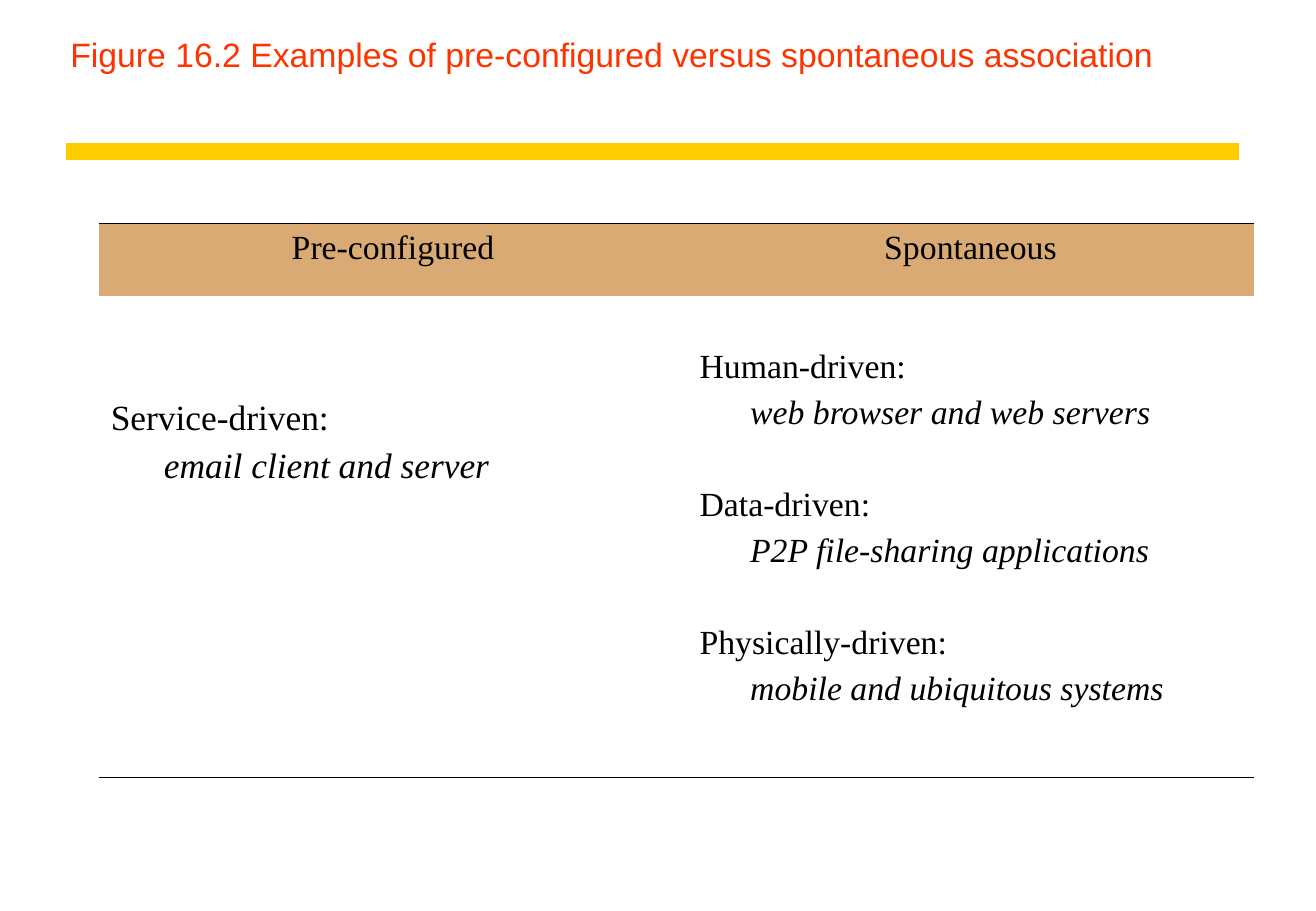
"""Build the slide comparing pre-configured and spontaneous association."""
from lxml import etree
from pptx import Presentation
from pptx.dml.color import RGBColor
from pptx.enum import shapes, text
from pptx.oxml import ns
from pptx.util import Pt

TITLE = "Figure 16.2 Examples of pre-configured versus spontaneous association"
HEADS = ["Pre-configured", "Spontaneous"]
BODY = [
    {"size": 21, "top": 60.5, "gap": 5.4, "pairs": [
        ("Service-driven:", "email client and server")]},
    {"size": 20, "top": 30.8, "gap": 5.1, "pairs": [
        ("Human-driven:", "web browser and web servers"),
        ("Data-driven:", "P2P file-sharing applications"),
        ("Physically-driven:", "mobile and ubiquitous systems")]},
]
COLS = [349.2, 335.8]
ROWS = [43.2, 285.1]
LINE_PITCH = 1.107
INDENT = 1.5

RED = RGBColor(0xFF, 0x33, 0x00)
GOLD = RGBColor(0xFF, 0xCC, 0x00)
TAN = RGBColor(0xD9, 0xAA, 0x73)
BLACK = RGBColor(0, 0, 0)


def write(para, words, size=20, font="Times New Roman", color=BLACK,
          italic=False, align=text.PP_ALIGN.LEFT, before=0, indent=0):
    para.alignment = align
    para.space_before = Pt(before)
    if indent:
        para._p.get_or_add_pPr().set("marL", str(Pt(indent)))
    run = para.add_run()
    run.text = words
    run.font.size = Pt(size)
    run.font.name = font
    run.font.italic = italic
    run.font.color.rgb = color


def border(cell, side):
    edge = etree.Element(ns.qn(f"a:{side}"), w=str(Pt(0.45)))
    fill = etree.SubElement(edge, ns.qn("a:solidFill"))
    etree.SubElement(fill, ns.qn("a:srgbClr"), val=str(BLACK))
    cell._tc.get_or_add_tcPr().insert(0, edge)


def add_title(slide):
    box = slide.shapes.add_textbox(Pt(34.6), Pt(16.2), Pt(700), Pt(54))
    box.text_frame.word_wrap = True
    write(box.text_frame.paragraphs[0], TITLE, font="Arial", color=RED)


def add_rule(slide):
    rule = slide.shapes.add_connector(
        shapes.MSO_CONNECTOR.STRAIGHT, Pt(39), Pt(90), Pt(734.6), Pt(90))
    rule.line.color.rgb = GOLD
    rule.line.width = Pt(10)
    etree.SubElement(rule._element.spPr, ns.qn("a:effectLst"))


def fill_body(cell, size, top, gap, pairs):
    cell.margin_top = Pt(top)
    blank = size * LINE_PITCH + 2 * gap
    frame = cell.text_frame
    for i, (kind, case) in enumerate(pairs):
        para = frame.add_paragraph() if i else frame.paragraphs[0]
        write(para, kind, size=size, before=blank if i else 0)
        write(frame.add_paragraph(), case, size=size, italic=True,
              before=gap, indent=size * INDENT)


def add_grid(slide):
    frame = slide.shapes.add_table(
        2, 2, Pt(58.5), Pt(132.5), Pt(sum(COLS)), Pt(sum(ROWS)))
    table = frame.table
    table.first_row = table.horz_banding = False
    style = table._tbl.tblPr.find(ns.qn("a:tableStyleId"))
    style.text = "{2D5ABB26-0587-4C30-8999-92F81FD0307C}"
    for row, high in zip(table.rows, ROWS):
        row.height = Pt(high)
    for i, wide in enumerate(COLS):
        table.columns[i].width = Pt(wide)
        head, body = table.cell(0, i), table.cell(1, i)
        head.fill.solid()
        head.fill.fore_color.rgb = TAN
        body.fill.background()
        border(head, "lnT")
        border(body, "lnB")
        write(head.text_frame.paragraphs[0], HEADS[i],
              align=text.PP_ALIGN.CENTER)
        fill_body(body, **BODY[i])


def main():
    deck = Presentation()
    deck.slide_width = Pt(780.48)
    deck.slide_height = Pt(540)
    slide = deck.slides.add_slide(deck.slide_layouts[6])
    add_rule(slide)
    add_title(slide)
    add_grid(slide)
    deck.save("out.pptx")


if __name__ == "__main__":
    main()
